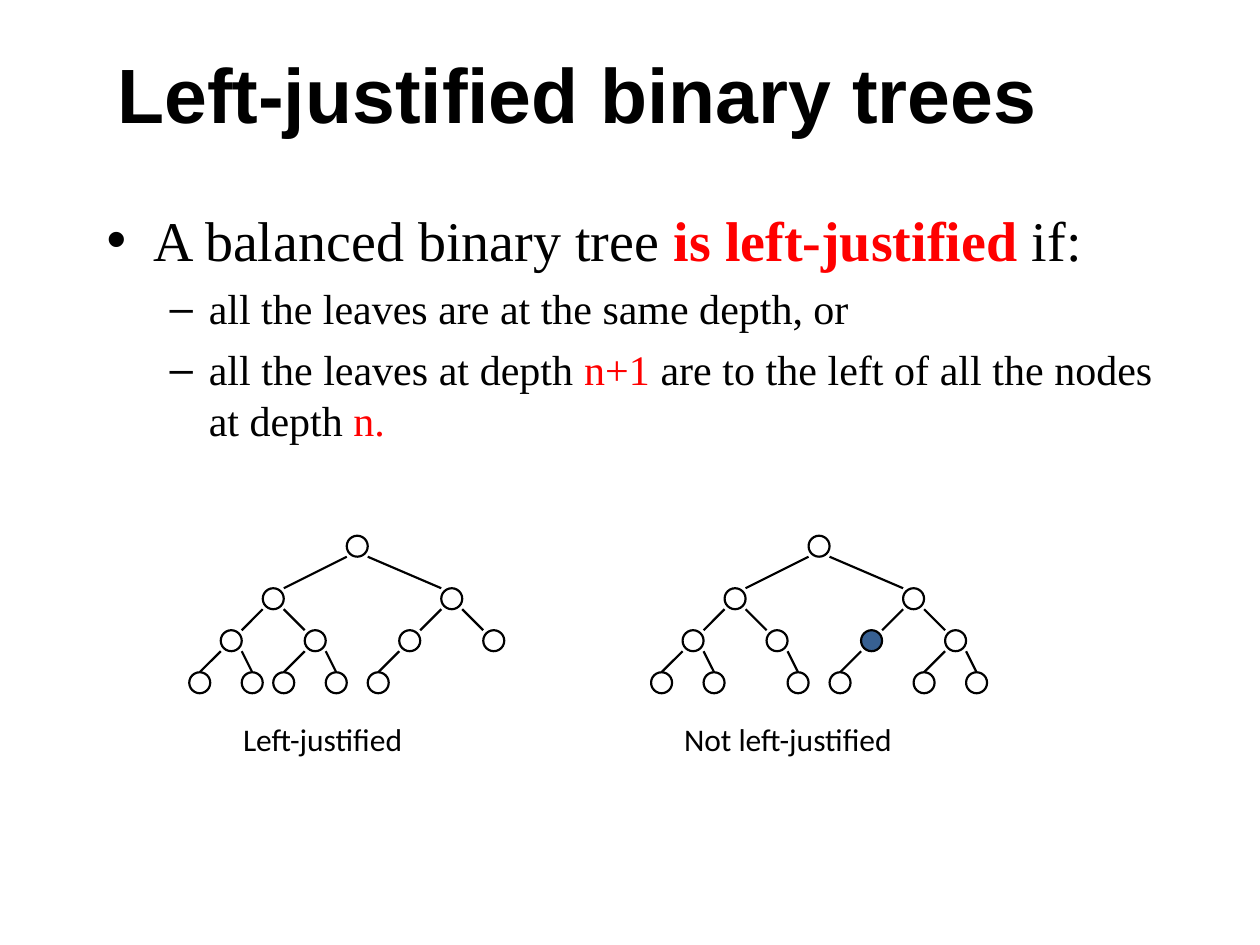
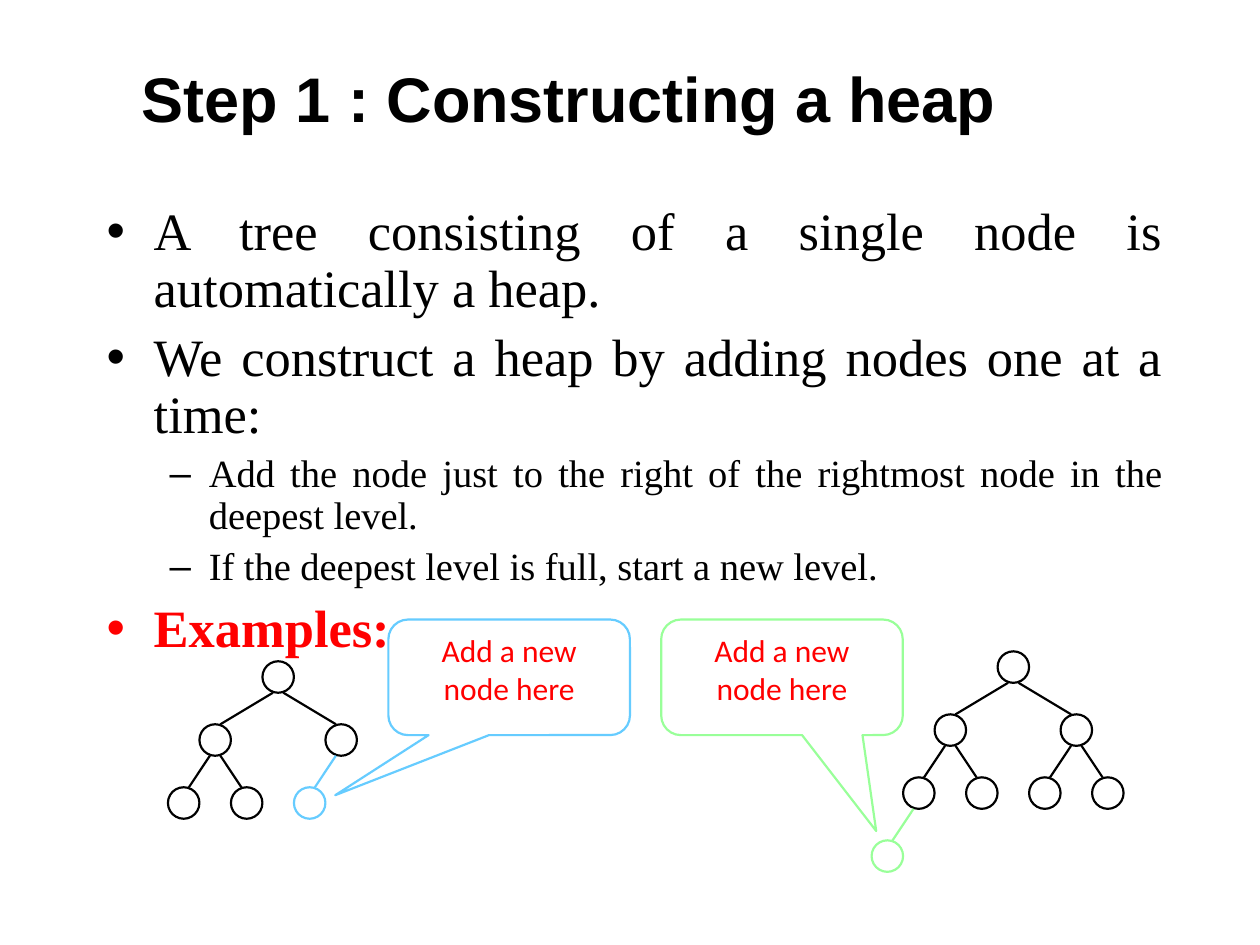
from lxml.etree import SubElement
from pptx import Presentation
from pptx.dml.color import RGBColor
from pptx.enum.shapes import MSO_CONNECTOR as CONN, MSO_SHAPE as SHAPE
from pptx.enum.text import MSO_ANCHOR as ANCHOR, PP_ALIGN as ALIGN
from pptx.oxml.ns import qn
from pptx.util import Cm, Pt

COLORS = {"ink": "000000", "red": "FF0000", "navy": "376092",
          "sky": "66CCFF", "mint": "99FF99"}
UNIT = 2.54 / 12
BULLETS = [{"char": "•", "left": 0.95, "hang": 0.95},
           {"char": "–", "left": 2.06, "hang": 0.79}]

JUSTIFIED_X = {1: 0, 2: -8, 3: 9, 4: -12, 5: -4, 6: 5, 7: 13, 8: -15,
               9: -10, 10: -7, 11: -2, 12: 2, 14: 10, 15: 15}
JUSTIFIED_TREE = {"xs": JUSTIFIED_X, "ys": [0, 5, 9, 13], "size": 2,
                  "parent_end": 0, "child_ends": [1, 1, 1, 0.5]}
HEAP_X = {1: 0, 2: -6, 3: 6, 4: -9, 5: -3, 6: 3, 7: 9, 8: -12}
HEAP_TREE = {"xs": HEAP_X, "ys": [0, 6, 12, 18], "size": 3,
             "parent_end": 1 / 3, "child_ends": [2 / 3] * 4}


def rgb(name):
    return RGBColor.from_string(COLORS[name])


def assign(obj, values):
    for name, value in values.items():
        setattr(obj, name, value)


class Deck:
    def __init__(self):
        self.prs = Presentation()
        assign(self.prs, {"slide_width": Cm(25.4), "slide_height": Cm(19.05)})
        self.s = None

    def slide(self, title, size, height):
        self.s = self.prs.slides.add_slide(self.prs.slide_layouts[6])
        tf = self.box(1.27, 0.76, 20.75, height)
        tf.vertical_anchor = ANCHOR.MIDDLE
        p = tf.paragraphs[0]
        p.alignment = ALIGN.CENTER
        self.run(p, title, "Arial", size, bold=True)

    def box(self, x, y, w, h):
        tf = self.s.shapes.add_textbox(Cm(x), Cm(y), Cm(w), Cm(h)).text_frame
        tf.word_wrap = True
        return tf

    def run(self, p, text, font, size, color="ink", bold=False):
        r = p.add_run()
        r.text = text
        assign(r.font, {"name": font, "size": Pt(size), "bold": bold})
        r.font.color.rgb = rgb(color)

    def bullets(self, w, h, items, sizes, befores, spacing):
        tf = self.box(1.9, 4.01, w, h)
        for i, (level, runs) in enumerate(items):
            p = tf.add_paragraph() if i else tf.paragraphs[0]
            assign(p, {"level": level, "alignment": ALIGN.JUSTIFY,
                       "line_spacing": spacing,
                       "space_before": Pt(befores[level])})
            self.bullet(p, BULLETS[level], runs[0][1])
            for text, color, bold in runs:
                self.run(p, text, "Times New Roman", sizes[level], color, bold)

    def bullet(self, p, style, color):
        pPr = p._p.get_or_add_pPr()
        pPr.set("marL", str(Cm(style["left"])))
        pPr.set("indent", str(-Cm(style["hang"])))
        clr = SubElement(pPr, qn("a:buClr"))
        SubElement(clr, qn("a:srgbClr"), val=COLORS[color])
        SubElement(pPr, qn("a:buFont"), typeface="Arial")
        SubElement(pPr, qn("a:buChar"), char=style["char"])

    def caption(self, x, w, text):
        p = self.box(x, 14.4, w, 1.02).paragraphs[0]
        p.space_before = Pt(11.2)
        self.run(p, text, "Calibri", 18)

    def shape(self, kind, x, y, w, h, line="ink", fill=None):
        sp = self.s.shapes.add_shape(kind, Cm(x), Cm(y), Cm(w), Cm(h))
        sp.shadow.inherit = False
        if fill:
            sp.fill.solid()
            sp.fill.fore_color.rgb = rgb(fill)
        else:
            sp.fill.background()
        sp.line.color.rgb = rgb(line)
        sp.line.width = Pt(1.25)
        return sp

    def edge(self, x1, y1, x2, y2, color):
        c = self.s.shapes.add_connector(CONN.STRAIGHT, Cm(x1), Cm(y1),
                                        Cm(x2), Cm(y2))
        c.line.color.rgb = rgb(color)
        c.line.width = Pt(1.25)
        SubElement(c._element.spPr, qn("a:effectLst"))

    def callout(self, x, color, adjustments):
        sp = self.shape(SHAPE.ROUNDED_RECTANGULAR_CALLOUT, x, 12.49,
                        4.87, 2.33, color)
        for i, value in enumerate(adjustments):
            sp.adjustments[i] = value
        tf = sp.text_frame
        assign(tf, {"word_wrap": True, "vertical_anchor": ANCHOR.TOP})
        p = tf.paragraphs[0]
        p.alignment = ALIGN.CENTER
        self.run(p, "Add a new node here", "Calibri", 18, "red")

    def tree(self, root_x, root_y, nodes, xs, ys, size, parent_end,
             child_ends, lines=None, fills=None):
        lines, fills = lines or {}, fills or {}
        d = size * UNIT

        def place(node):
            return (root_x + xs[node] * UNIT,
                    root_y + ys[node.bit_length() - 1] * UNIT)

        for node in nodes:
            x, y = place(node)
            color = lines.get(node, "ink")
            self.shape(SHAPE.OVAL, x, y, d, d, color, fills.get(node))
            if node == 1:
                continue
            px, py = place(node // 2)
            near, far = parent_end, child_ends[node.bit_length() - 1]
            if node % 2:
                near, far = 1 - near, 1 - far
            self.edge(x + far * d, y, px + near * d, py + d, color)


def main():
    deck = Deck()

    deck.slide("Left-justified binary trees", 44, 2.21)
    deck.bullets(21.59, 5.28, [
        (0, [("A balanced binary tree ", "ink", False),
             ("is left-justified ", "red", True),
             ("if:", "ink", False)]),
        (1, [("all the leaves are at the same depth, or", "ink", False)]),
        (1, [("all the leaves at depth ", "ink", False),
             ("n+1 ", "red", False),
             ("are to the left of all the nodes at depth", "ink", False),
             (" n.", "red", False)]),
    ], sizes=[32, 24], befores=[8, 6], spacing=1.0)
    deck.caption(4.65, 5.28, "Left-justified")
    deck.tree(6.99, 10.8, range(1, 13), **JUSTIFIED_TREE)
    deck.caption(13.54, 6.78, "Not left-justified")
    deck.tree(16.3, 10.8, [n for n in JUSTIFIED_X if n != 10],
              fills={6: "navy"}, **JUSTIFIED_TREE)

    deck.slide("Step 1 : Constructing a heap ", 36, 2.41)
    deck.bullets(21.79, 9.73, [
        (0, [("A tree consisting of a single node is automatically a heap.",
              "ink", False)]),
        (0, [("We construct a heap by adding nodes one at a time:",
              "ink", False)]),
        (1, [("Add the node just to the right of the rightmost node in the "
              "deepest level.", "ink", False)]),
        (1, [("If the deepest level is full, start a new level.",
              "ink", False)]),
        (0, [("Examples:", "red", True)]),
    ], sizes=[30, 22], befores=[7.5, 5.5], spacing=0.9)
    deck.tree(20.11, 13.13, range(1, 9), lines={8: "mint"}, **HEAP_TREE)
    deck.tree(5.29, 13.33, range(1, 7), lines={6: "sky"}, **HEAP_TREE)
    deck.callout(7.83, "sky", [-0.72, 1.02, 0.17])
    deck.callout(13.33, "mint", [0.39, 1.33, 0.17])

    deck.prs.save("out.pptx")


if __name__ == "__main__":
    main()
